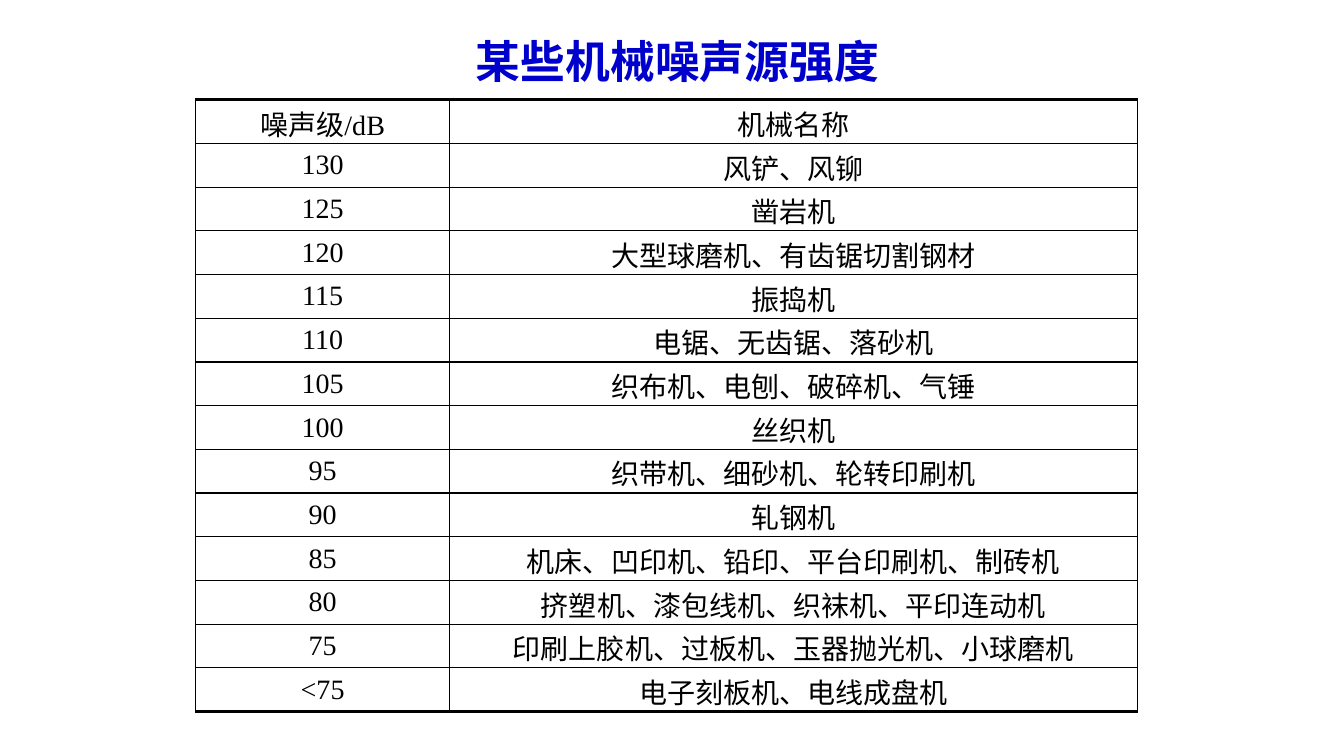
from lxml.etree import SubElement
from pptx import Presentation
from pptx.dml.color import RGBColor
from pptx.enum.text import MSO_ANCHOR, PP_ALIGN
from pptx.oxml.ns import qn
from pptx.util import Inches, Pt

CJK_FONT = "Noto Sans CJK SC"
LATIN_FONT = "Times New Roman"
BLACK = "000000"
TITLE_BLUE = "0000CC"

NOISE_SOURCES = [
    ("噪声级/dB", "机械名称"),
    ("130", "风铲、风铆"),
    ("125", "凿岩机"),
    ("120", "大型球磨机、有齿锯切割钢材"),
    ("115", "振捣机"),
    ("110", "电锯、无齿锯、落砂机"),
    ("105", "织布机、电刨、破碎机、气锤"),
    ("100", "丝织机"),
    ("95", "织带机、细砂机、轮转印刷机"),
    ("90", "轧钢机"),
    ("85", "机床、凹印机、铅印、平台印刷机、制砖机"),
    ("80", "挤塑机、漆包线机、织袜机、平印连动机"),
    ("75", "印刷上胶机、过板机、玉器抛光机、小球磨机"),
    ("<75", "电子刻板机、电线成盘机"),
]
COLUMN_WIDTHS = (2.52, 6.82)
TABLE_HEIGHT = 6.07


def color(hex_code):
    return RGBColor.from_string(hex_code)


def set_all(target, values):
    for name, value in values.items():
        setattr(target, name, value)


def write(paragraph, words, hex_code, font_values):
    run = paragraph.add_run()
    run.text = words
    set_all(run.font, font_values)
    run.font.color.rgb = color(hex_code)
    # East Asian characters take their own typeface
    SubElement(run.font._element, qn("a:ea"), typeface=CJK_FONT)


def add_title(slide, words):
    title = slide.shapes.add_textbox(Inches(4.62), Inches(0.28), Inches(4.96), Inches(0.64))
    set_all(title.text_frame, {"word_wrap": True, "vertical_anchor": MSO_ANCHOR.MIDDLE})
    write(title.text_frame.paragraphs[0], words, TITLE_BLUE,
          {"size": Pt(32), "bold": True, "name": CJK_FONT})


def set_borders(cell, widths):
    properties = cell._tc.get_or_add_tcPr()
    for index, (side, width) in enumerate(widths.items()):
        line = properties.makeelement(qn(f"a:{side}"), {"w": str(Pt(width))})
        fill = SubElement(line, qn("a:solidFill"))
        SubElement(fill, qn("a:srgbClr"), val=BLACK)
        properties.insert(index, line)


def fill_cell(cell, words, top_margin):
    cell.fill.background()
    set_all(cell, {"vertical_anchor": MSO_ANCHOR.MIDDLE,
                   "margin_top": Inches(top_margin), "margin_bottom": 0})
    paragraph = cell.text_frame.paragraphs[0]
    paragraph.alignment = PP_ALIGN.CENTER
    write(paragraph, words, BLACK, {"size": Pt(20), "name": LATIN_FONT})


def add_noise_table(slide, sources):
    last = len(sources) - 1
    table = slide.shapes.add_table(
        len(sources), len(COLUMN_WIDTHS), Inches(1.94), Inches(0.99),
        Inches(sum(COLUMN_WIDTHS)), Inches(TABLE_HEIGHT)).table
    set_all(table, {"first_row": False, "horz_banding": False})
    for column, width in zip(table.columns, COLUMN_WIDTHS):
        column.width = Inches(width)
    for r, source in enumerate(sources):
        table.rows[r].height = Inches(TABLE_HEIGHT / len(sources))
        for c, words in enumerate(source):
            cell = table.cell(r, c)
            # Chinese text sits a little lower than the numbers
            fill_cell(cell, words, 0.03 if c == 1 or r == 0 else 0)
            set_borders(cell, {"lnL": 0.75 if c == 0 else 1,
                               "lnR": 0.75 if c == 1 else 1,
                               "lnT": 2.25 if r == 0 else 1,
                               "lnB": 2.25 if r == last else 1})


def main():
    deck = Presentation()
    set_all(deck, {"slide_width": Inches(13.33), "slide_height": Inches(7.5)})
    slide = deck.slides.add_slide(deck.slide_layouts[6])
    add_noise_table(slide, NOISE_SOURCES)
    add_title(slide, "某些机械噪声源强度")
    deck.save("out.pptx")


if __name__ == "__main__":
    main()
